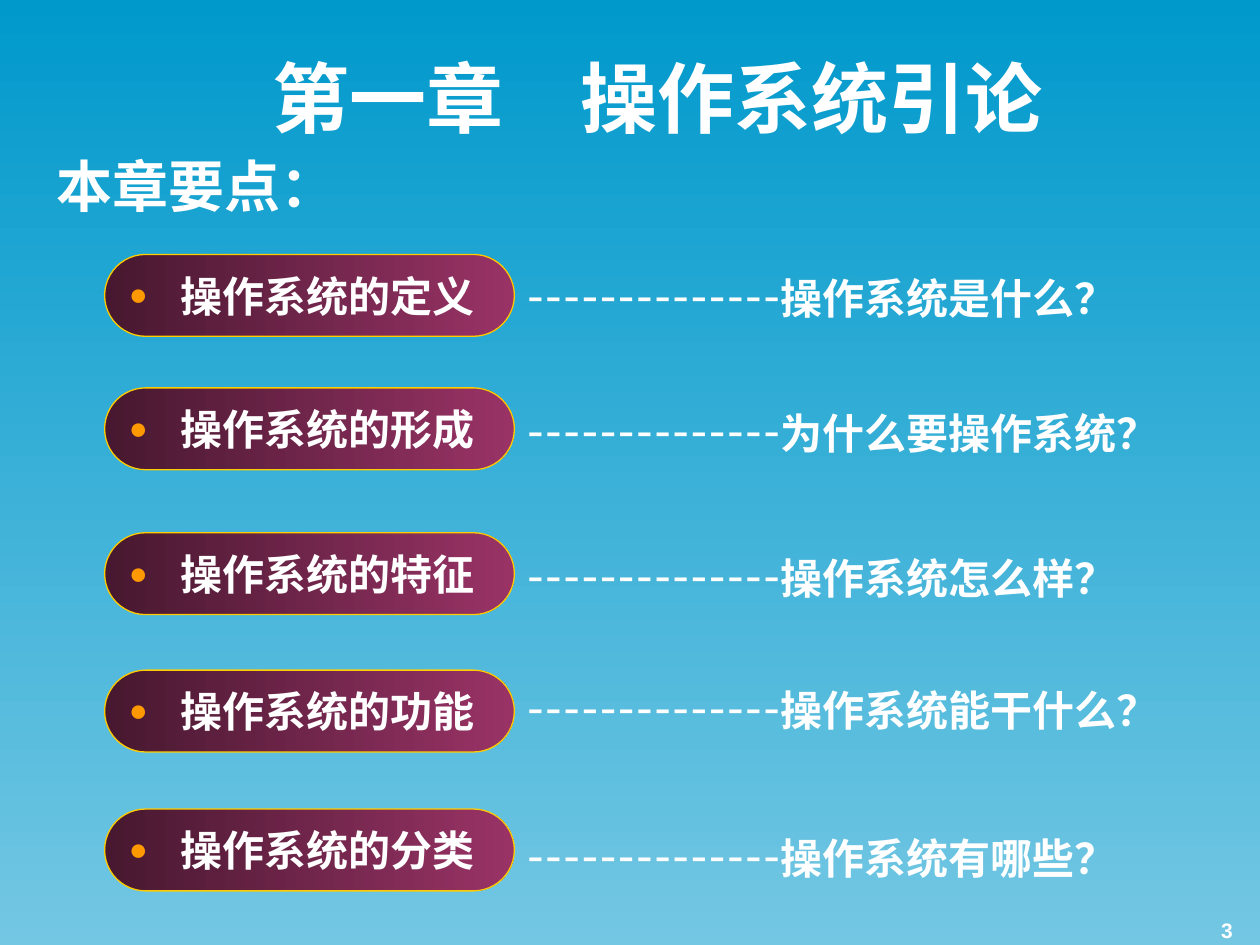
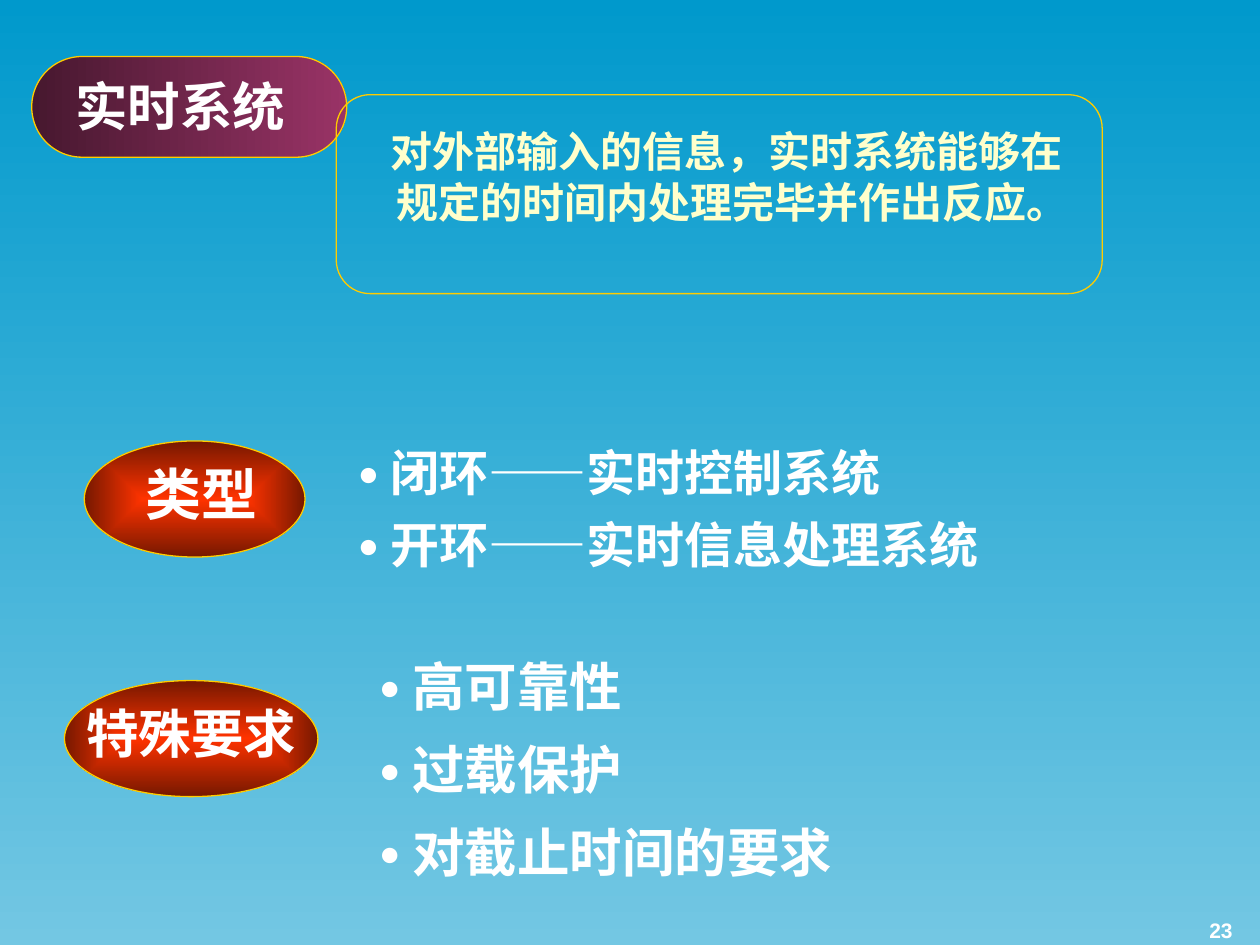
from lxml.etree import SubElement
from pptx import Presentation
from pptx.dml.color import RGBColor
from pptx.enum.shapes import MSO_SHAPE
from pptx.enum.text import MSO_ANCHOR, PP_ALIGN
from pptx.oxml.ns import qn
from pptx.util import Cm, Pt

COLORS = {
    "sky": "0099CC", "pale": "73C7E3", "plum": "47182F", "wine": "993366",
    "gold": "FFCC00", "dot": "FF9900", "fire": "FF3300", "rust": "761800",
    "white": "FFFFFF", "cream": "FFFFCC",
}
SERIF, SANS, NUMBER = "Times New Roman", "Lato", "Arial"

# Topic, question, top of the pill, top of the question (cm)
TOPICS = [
    ("操作系统的定义", "操作系统是什么？", 5.13, 5.23),
    ("操作系统的形成", "为什么要操作系统？", 7.82, 7.95),
    ("操作系统的特征", "操作系统怎么样？", 10.74, 10.87),
    ("操作系统的功能", "操作系统能干什么？", 13.51, 13.54),
    ("操作系统的分类", "操作系统有哪些？", 16.31, 16.51),
]


def rgb(name):
    return RGBColor.from_string(COLORS[name])


def blend(fill, start, end, angle=0):
    """Two-colour linear gradient."""
    fill.gradient()
    fill.gradient_angle = angle
    for stop, name in zip(fill.gradient_stops, (start, end)):
        stop.color.rgb = rgb(name)


def glow(shape):
    """Turn the linear gradient into one that spreads from the centre."""
    grad = shape._element.spPr.find(qn("a:gradFill"))
    grad.remove(grad.find(qn("a:lin")))
    ring = SubElement(grad, qn("a:path"), {"path": "rect"})
    SubElement(ring, qn("a:fillToRect"), dict.fromkeys("ltrb", "50000"))


def dot(para, indent, scale, color, font):
    """Round bullet in a hanging indent; scale is a percentage."""
    props = para._p.get_or_add_pPr()
    props.set("marL", str(Cm(indent)))
    props.set("indent", str(-Cm(indent)))
    tint = SubElement(props, qn("a:buClr"))
    SubElement(tint, qn("a:srgbClr"), val=COLORS[color])
    SubElement(props, qn("a:buSzPct"), val=str(scale * 1000))
    SubElement(props, qn("a:buFont"), typeface=font)
    SubElement(props, qn("a:buChar"), char="●")


def write(para, text, size=24, font=SERIF, color="white", bold=True,
          align=PP_ALIGN.LEFT):
    """Add a run of text to a paragraph."""
    para.alignment = align
    run = para.add_run()
    run.text = text
    run.font.size, run.font.name, run.font.bold = Pt(size), font, bold
    run.font.color.rgb = rgb(color)


def box(slide, left, top, width, height, anchor=MSO_ANCHOR.TOP):
    """Add an empty text box and return its frame."""
    area = slide.shapes.add_textbox(Cm(left), Cm(top), Cm(width), Cm(height))
    frame = area.text_frame
    frame.word_wrap, frame.vertical_anchor = True, anchor
    return frame


def label(slide, place, text, anchor=MSO_ANCHOR.TOP, **style):
    para = box(slide, *place, anchor=anchor).paragraphs[0]
    write(para, text, **style)
    return para


def outline(slide, kind, left, top, width, height, round_to=None):
    """Add an unfilled shape with a gold edge."""
    shape = slide.shapes.add_shape(kind, Cm(left), Cm(top), Cm(width), Cm(height))
    shape.shadow.inherit = False
    shape.fill.background()
    shape.line.color.rgb, shape.line.width = rgb("gold"), Pt(0.75)
    if round_to is not None:
        shape.adjustments[0] = round_to
    return shape


def pill(slide, *place):
    shape = outline(slide, MSO_SHAPE.ROUNDED_RECTANGLE, *place, round_to=0.5)
    blend(shape.fill, "plum", "wine")
    return shape


def oval(slide, place, text, size, font, shift=0):
    """Glowing ellipse with a heading, moved right by shift."""
    shape = outline(slide, MSO_SHAPE.OVAL, *place)
    blend(shape.fill, "fire", "rust")
    glow(shape)
    frame = shape.text_frame
    frame.word_wrap, frame.vertical_anchor = False, MSO_ANCHOR.MIDDLE
    frame.margin_left, frame.margin_right = Cm(2 * shift), 0
    frame.margin_top, frame.margin_bottom = 0, Cm(0.25)
    write(frame.paragraphs[0], text, size=size, font=font, align=PP_ALIGN.CENTER)


def items(slide, place, lines, size, gap):
    """Bulleted list."""
    frame = box(slide, *place)
    for row, line in enumerate(lines):
        para = frame.add_paragraph() if row else frame.paragraphs[0]
        para.line_spacing = 0.95
        para.space_before = Pt(gap if row else 0)
        dot(para, 0.64, round(1800 / size), "white", SANS)
        write(para, line, size=size, font=SANS)


def page(deck, number):
    """Blank slide with the shared background and page number."""
    slide = deck.slides.add_slide(deck.slide_layouts[6])
    blend(slide.background.fill, "sky", "pale", angle=270)
    label(slide, (19.18, 17.81, 5.92, 1.32), number, anchor=MSO_ANCHOR.BOTTOM,
          size=12, font=NUMBER, align=PP_ALIGN.RIGHT)
    return slide


def title(slide, place, text, size):
    label(slide, place, text, anchor=MSO_ANCHOR.MIDDLE, size=size,
          align=PP_ALIGN.CENTER)


def topic(slide, name, query, top, level):
    """Pill with a topic, then dashes leading to its question."""
    frame = pill(slide, 2.11, top, 8.26, 1.65).text_frame
    frame.vertical_anchor = MSO_ANCHOR.MIDDLE
    para = frame.paragraphs[0]
    dot(para, 1.03, 75, "dot", SERIF)
    write(para, name, font=SANS)
    lead = label(slide, (10.36, level, 13.94, 1.45), "-" * 14,
                 size=28, font=SANS, bold=False)
    write(lead, query, font=SANS)


def outset(deck):
    """Chapter overview."""
    slide = page(deck, "3")
    title(slide, (3.1, 0.36, 20.32, 3.18), "第一章　操作系统引论", 44)
    for row in TOPICS:
        topic(slide, *row)
    label(slide, (0.89, 2.92, 6.4, 1.63), "本章要点：", size=32)


def timing(deck):
    """Real-time systems."""
    slide = page(deck, "23")
    pill(slide, 0.64, 1.14, 6.35, 2.03)

    # Types
    oval(slide, (1.7, 8.89, 4.45, 2.34), "类型", 32, SERIF, shift=0.14)
    items(slide, (6.99, 8.89, 16.94, 2.82),
          ["闭环——实时控制系统", "开环——实时信息处理系统"], 28, 9)

    # Special demands
    oval(slide, (1.3, 13.72, 5.11, 2.34), "特殊要求", 30, SANS)
    items(slide, (7.42, 13.16, 10.08, 5.8),
          ["高可靠性", "过载保护", "对截止时间的要求"], 30, 13.1)

    # Definition
    para = label(slide, (6.78, 2.41, 15.44, 3.02),
                 "对外部输入的信息，实时系统能够在规定的时间内处理完毕并作出反应。",
                 color="cream")
    props = para._p.get_or_add_pPr()
    props.set("marL", str(Cm(0.97)))
    props.set("indent", str(-Cm(0.13)))
    outline(slide, MSO_SHAPE.ROUNDED_RECTANGLE, 6.78, 1.91, 15.44, 4.01,
            round_to=0.17)
    title(slide, (1.09, 0.53, 5.08, 3.18), "实时系统", 30)


def main():
    deck = Presentation()
    deck.slide_width, deck.slide_height = Cm(25.4), Cm(19.05)
    outset(deck)
    timing(deck)
    deck.save("out.pptx")


if __name__ == "__main__":
    main()
